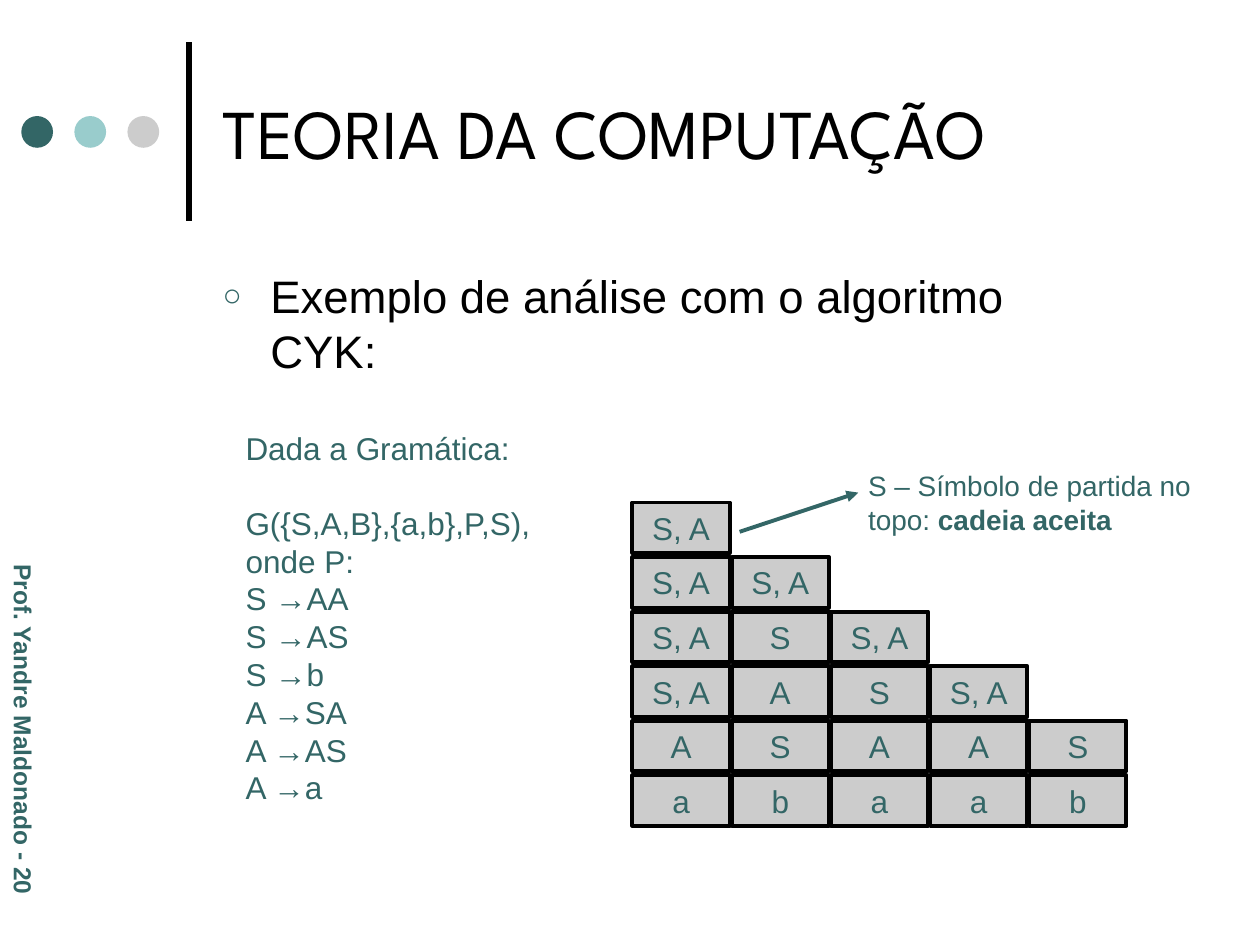
import dataclasses

import pptx
import pptx.dml.color
import pptx.enum.shapes
import pptx.enum.text
import pptx.oxml.ns
import pptx.util
from lxml import etree

Cm = pptx.util.Cm
Pt = pptx.util.Pt
Shape = pptx.enum.shapes.MSO_SHAPE
Align = pptx.enum.text.PP_ALIGN
Anchor = pptx.enum.text.MSO_ANCHOR
qn = pptx.oxml.ns.qn


@dataclasses.dataclass(frozen=True)
class Theme:
    ink: str = "000000"
    teal: str = "336666"
    aqua: str = "99CCCC"
    grey: str = "CCCCCC"
    head: str = "League Spartan"
    font: str = "Arial"
    title: int = 40
    lead: int = 26
    body: int = 18
    note: int = 16
    side: int = 14


def rgb(code):
    return pptx.dml.color.RGBColor.from_string(code)


class Board:
    def __init__(self, slide, theme):
        self.slide = slide
        self.theme = theme

    def style(self, para, size, color, font=None, bold=None):
        for run in para.runs:
            run.font.size = Pt(size)
            run.font.name = font or self.theme.font
            run.font.color.rgb = rgb(color)
            run.font.bold = bold

    def text(self, box, words, size, color, font=None, bold=None,
             anchor=Anchor.TOP):
        shape = self.slide.shapes.add_textbox(*map(Cm, box))
        frame = shape.text_frame
        frame.word_wrap = True
        frame.vertical_anchor = anchor
        frame.text = words
        for para in frame.paragraphs:
            self.style(para, size, color, font, bold)
        return shape

    def bullet(self, para, mark, color, scale, indent):
        props = para._p.get_or_add_pPr()
        props.set("marL", str(Cm(indent)))
        props.set("indent", str(-Cm(indent)))
        tint = etree.SubElement(props, qn("a:buClr"))
        etree.SubElement(tint, qn("a:srgbClr"), val=color)
        etree.SubElement(props, qn("a:buSzPct"), val=str(scale * 1000))
        etree.SubElement(props, qn("a:buFont"), typeface=self.theme.font)
        etree.SubElement(props, qn("a:buChar"), char=mark)

    def dot(self, left, top, size, color):
        shape = self.slide.shapes.add_shape(
            Shape.OVAL, Cm(left), Cm(top), Cm(size), Cm(size))
        shape.shadow.inherit = False
        shape.fill.solid()
        shape.fill.fore_color.rgb = rgb(color)
        shape.line.fill.background()

    def cell(self, box, words):
        shape = self.slide.shapes.add_shape(Shape.RECTANGLE, *map(Cm, box))
        shape.shadow.inherit = False
        shape.fill.solid()
        shape.fill.fore_color.rgb = rgb(self.theme.grey)
        shape.line.color.rgb = rgb(self.theme.ink)
        shape.line.width = Pt(2.25)
        frame = shape.text_frame
        frame.vertical_anchor = Anchor.MIDDLE
        frame.text = words
        para = frame.paragraphs[0]
        para.alignment = Align.CENTER
        self.style(para, self.theme.body, self.theme.teal)

    def line(self, start, end, color, width, arrow=False):
        link = self.slide.shapes.add_connector(
            pptx.enum.shapes.MSO_CONNECTOR.STRAIGHT,
            *map(Cm, start + end))
        link.line.color.rgb = rgb(color)
        link.line.width = Pt(width)
        if arrow:
            etree.SubElement(link.line._get_or_add_ln(), qn("a:tailEnd"),
                             type="triangle")
        etree.SubElement(link._element.spPr, qn("a:effectLst"))


def main():
    deck = pptx.Presentation()
    deck.slide_width, deck.slide_height = Cm(25.4), Cm(19.05)
    theme = Theme()
    board = Board(deck.slides.add_slide(deck.slide_layouts[6]), theme)

    # Rule and dots beside the title
    board.line((3.81, 4.45), (3.81, 0.84), theme.ink, 3)
    for col, color in enumerate((theme.teal, theme.aqua, theme.grey)):
        board.dot(0.43 + 1.07 * col, 2.34, 0.64, color)

    # Title and lead
    board.text((4.24, 0.53, 19.48, 4.24), "TEORIA DA COMPUTAÇÃO",
               theme.title, theme.ink, theme.head, anchor=Anchor.MIDDLE)
    lead = board.text((4.24, 5.28, 17.88, 2.64),
                      "Exemplo de análise com o algoritmo CYK:",
                      theme.lead, theme.ink).text_frame.paragraphs[0]
    lead.space_before = Pt(6.5)
    board.bullet(lead, "○", theme.teal, 70, 0.96)

    # Author and page number down the left edge
    side = board.text((-3.43, 14.6, 7.8, 0.86), "Prof. Yandre Maldonado - 20",
                      theme.side, theme.teal, bold=True)
    side.rotation = 90

    # Grammar
    rules = ("S →AA", "S →AS", "S →b", "A →SA", "A →AS", "A →a")
    lines = ("Dada a Gramática:", "G({S,A,B},{a,b},P,S), onde P:") + rules
    grammar = board.text((4.7, 8.53, 6.65, 7.87), "\n".join(lines),
                         theme.body, theme.teal)
    grammar.text_frame.paragraphs[0].space_after = Pt(21)

    # CYK triangle, top row first
    rows = (
        ("S, A",),
        ("S, A", "S, A"),
        ("S, A", "S", "S, A"),
        ("S, A", "A", "S", "S, A"),
        ("A", "S", "A", "A", "S"),
        ("a", "b", "a", "a", "b"),
    )
    for row, names in enumerate(rows):
        for col, name in enumerate(names):
            board.cell((12.75 + 2 * col, 10.13 + 1.1 * row, 1.96, 1.02), name)

    # Note on the top cell
    note = board.text((17.25, 9.32, 7.65, 1.63),
                      "S – Símbolo de partida no topo: ",
                      theme.note, theme.teal).text_frame.paragraphs[0]
    note.add_run().text = "cadeia aceita"
    board.style(note, theme.note, theme.teal)
    note.runs[-1].font.bold = True
    board.line((14.91, 10.72), (17.3, 9.93), theme.teal, 2.25, arrow=True)

    deck.save("out.pptx")


if __name__ == "__main__":
    main()
